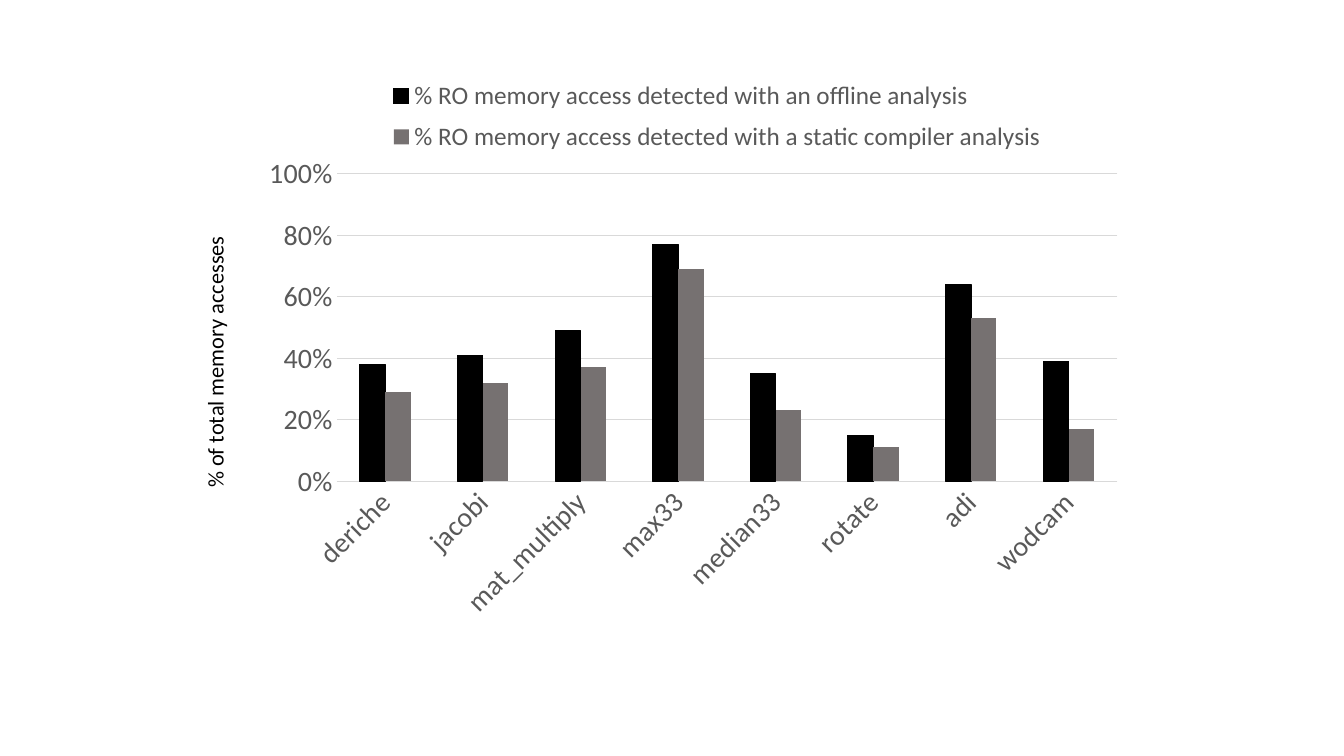
import dataclasses
import typing

import lxml.etree
import pptx
import pptx.chart.data
import pptx.dml.color
import pptx.enum.chart
import pptx.enum.text
import pptx.util

PX = 9525
FACE = "Calibri"
BLACK = pptx.dml.color.RGBColor(0x00, 0x00, 0x00)
GREY = pptx.dml.color.RGBColor(0x76, 0x71, 0x71)
TEXT = pptx.dml.color.RGBColor(0x59, 0x59, 0x59)
RULE = pptx.dml.color.RGBColor(0xD9, 0xD9, 0xD9)
THIN = pptx.util.Pt(0.75)
CHART_NS = "http://schemas.openxmlformats.org/drawingml/2006/chart"


@dataclasses.dataclass(frozen=True)
class Bars:
    name: str
    vals: tuple[float, ...]
    fill: pptx.dml.color.RGBColor
    edge: bool


KERNELS = ("deriche", "jacobi", "mat_multiply", "max33",
           "median33", "rotate", "adi", "wodcam")
SERIES = (
    Bars("% RO memory access detected with an offline analysis",
         (0.38, 0.41, 0.49, 0.77, 0.35, 0.15, 0.64, 0.39), BLACK, True),
    Bars("% RO memory access detected with a static compiler analysis",
         (0.29, 0.32, 0.37, 0.69, 0.23, 0.11, 0.53, 0.17), GREY, False),
)


def px(*sizes: int) -> list[int]:
    return [size * PX for size in sizes]


def apply(item: typing.Any, values: dict[str, typing.Any]) -> None:
    for key, value in values.items():
        setattr(item, key, value)


def style(font: typing.Any, size: int, color: pptx.dml.color.RGBColor) -> None:
    apply(font, {"name": FACE, "size": pptx.util.Pt(size), "bold": False})
    font.color.rgb = color


def stroke(line: typing.Any, color: pptx.dml.color.RGBColor) -> None:
    line.color.rgb = color
    line.width = THIN


def place(part: typing.Any, after: str, inner: bool,
          box: tuple[float, float, float, float]) -> None:
    """Give a chart part a manual layout, as shares of the chart's size."""
    for old in part.findall(f"{{{CHART_NS}}}layout"):
        part.remove(old)
    layout = lxml.etree.Element(f"{{{CHART_NS}}}layout")
    manual = lxml.etree.SubElement(layout, f"{{{CHART_NS}}}manualLayout")
    rows = [("layoutTarget", "inner")] if inner else []
    rows += [("xMode", "edge"), ("yMode", "edge")]
    rows += [(key, str(value)) for key, value in zip("xywh", box)]
    for tag, value in rows:
        lxml.etree.SubElement(manual, f"{{{CHART_NS}}}{tag}", val=value)
    if after:
        part.find(f"{{{CHART_NS}}}{after}").addnext(layout)
    else:
        part.insert(0, layout)


def draw_axes(chart: typing.Any) -> None:
    none = pptx.enum.chart.XL_TICK_MARK.NONE
    for axis in (chart.category_axis, chart.value_axis):
        apply(axis, {"major_tick_mark": none, "minor_tick_mark": none})
        style(axis.tick_labels.font, 20, TEXT)

    kernels, share = chart.category_axis, chart.value_axis
    stroke(kernels.format.line, RULE)
    kernels.tick_labels.font  # creates the text properties turned below
    turn = kernels._element.txPr.bodyPr
    turn.set("rot", "-2700000")
    turn.set("vert", "horz")

    apply(share, {"minimum_scale": 0, "maximum_scale": 1, "major_unit": 0.2,
                  "has_major_gridlines": True})
    apply(share.tick_labels, {"number_format": "0%",
                              "number_format_is_linked": False})
    share.format.line.fill.background()
    stroke(share.major_gridlines.format.line, RULE)


def draw_chart(slide: typing.Any) -> None:
    data = pptx.chart.data.CategoryChartData(number_format="0%")
    data.categories = KERNELS
    for bars in SERIES:
        data.add_series(bars.name, bars.vals)
    chart = slide.shapes.add_chart(
        pptx.enum.chart.XL_CHART_TYPE.COLUMN_CLUSTERED,
        *px(215, 55, 851, 588), data).chart
    apply(chart, {"has_title": False, "has_legend": True})
    style(chart.font, 20, BLACK)

    plot = chart.plots[0]
    apply(plot, {"gap_width": 184, "overlap": 0, "vary_by_categories": False})
    for bars, drawn in zip(SERIES, plot.series):
        drawn.invert_if_negative = False
        drawn.format.fill.solid()
        drawn.format.fill.fore_color.rgb = bars.fill
        if bars.edge:
            stroke(drawn.format.line, bars.fill)
        else:
            drawn.format.line.fill.background()
    draw_axes(chart)

    legend = chart.legend
    apply(legend, {"position": pptx.enum.chart.XL_LEGEND_POSITION.BOTTOM,
                   "include_in_layout": False})
    style(legend.font, 18, TEXT)
    place(legend._element, "legendPos", False, (0.17, 0.02, 0.76, 0.15))
    place(chart._chartSpace.chart.plotArea, "", True,
          (0.124, 0.188, 0.874, 0.498))


def draw_label(slide: typing.Any) -> None:
    box = slide.shapes.add_textbox(*px(35, 286, 340, 36))
    box.rotation = 270
    apply(box.text_frame, {
        "word_wrap": True,
        "auto_size": pptx.enum.text.MSO_AUTO_SIZE.SHAPE_TO_FIT_TEXT})
    run = box.text_frame.paragraphs[0].add_run()
    run.text = "% of total memory accesses"
    style(run.font, 16, BLACK)


def main() -> None:
    deck = pptx.Presentation()
    deck.slide_width, deck.slide_height = px(1280, 720)
    slide = deck.slides.add_slide(deck.slide_layouts[6])
    draw_chart(slide)
    draw_label(slide)
    deck.save("out.pptx")


if __name__ == "__main__":
    main()
